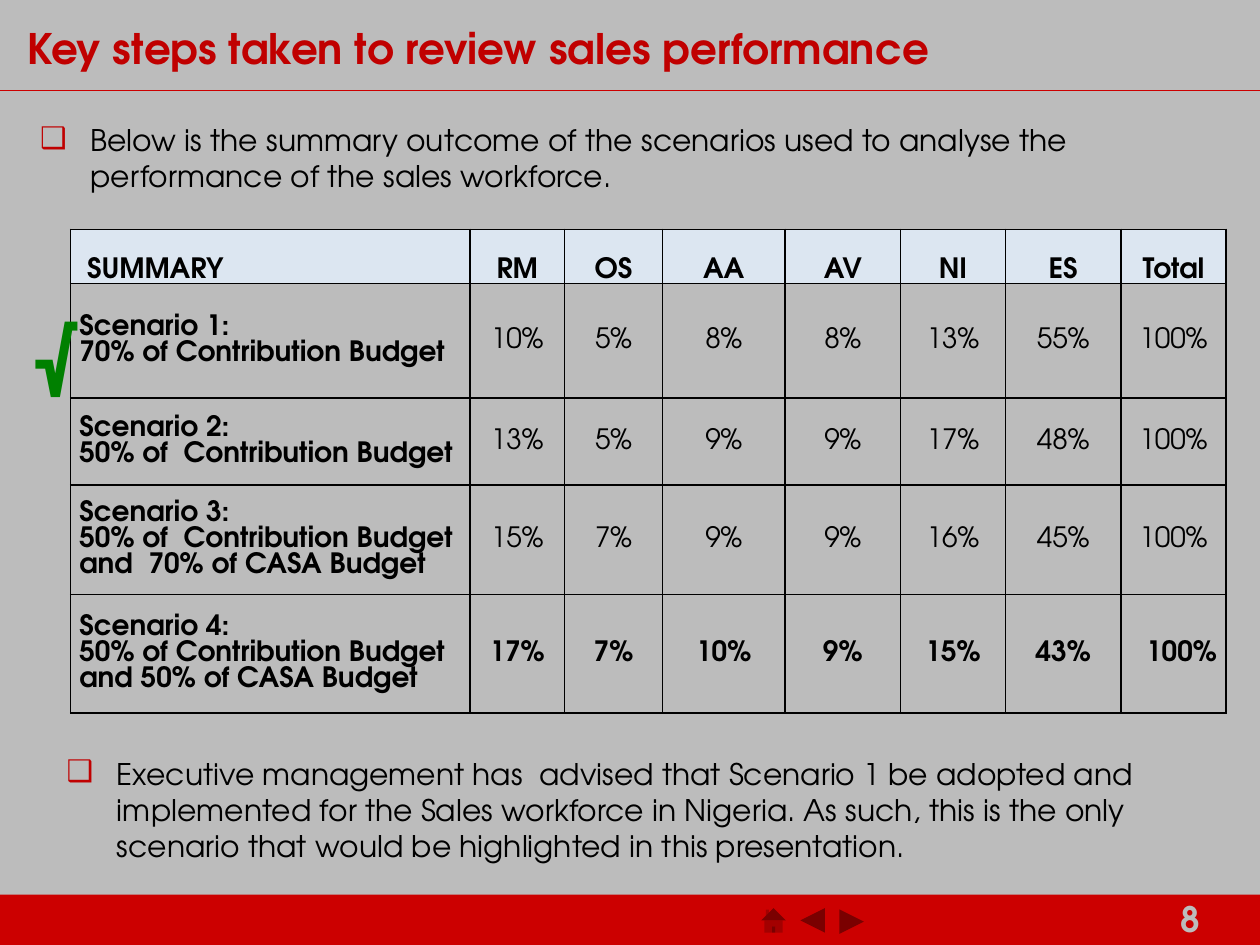
from lxml import etree
from pptx import Presentation
from pptx.dml.color import RGBColor
from pptx.enum import shapes, text
from pptx.oxml import parse_xml
from pptx.oxml.ns import nsdecls, qn
from pptx.util import Inches, Pt

FONT = "TeX Gyre Adventor"
GREY = RGBColor(0xBC, 0xBC, 0xBC)
RED = RGBColor(0xCC, 0, 0)
DARK_RED = RGBColor(0xC0, 0, 0)
BLACK = RGBColor(0, 0, 0)
GREEN = RGBColor(0, 0x80, 0)
PALE_BLUE = RGBColor(0xDC, 0xE6, 0xF1)
LEFT, CENTER, RIGHT = text.PP_ALIGN.LEFT, text.PP_ALIGN.CENTER, text.PP_ALIGN.RIGHT
TOP, MIDDLE, BOTTOM = text.MSO_ANCHOR.TOP, text.MSO_ANCHOR.MIDDLE, text.MSO_ANCHOR.BOTTOM


def write(tf, content, size=17, color=BLACK, bold=False, align=LEFT, spacing=None, bullet=False):
    for i, line in enumerate(content.split("\n")):
        p = tf.add_paragraph() if i else tf.paragraphs[0]
        if bullet:
            pPr = p._p.get_or_add_pPr()
            pPr.set("marL", str(Inches(0.4)))
            pPr.set("indent", str(Inches(-0.4)))
            pPr.append(parse_xml(f'<a:buClr {nsdecls("a")}><a:srgbClr val="{DARK_RED}"/></a:buClr>'))
            pPr.append(parse_xml(f'<a:buFont {nsdecls("a")} typeface="{FONT}"/>'))
            pPr.append(parse_xml(f'<a:buChar {nsdecls("a")} char="❑"/>'))
        p.alignment = align
        if spacing:
            p.line_spacing = spacing
        r = p.add_run()
        r.text = line
        r.font.name = FONT
        r.font.size = Pt(size)
        r.font.bold = bold
        r.font.color.rgb = color


prs = Presentation()
prs.slide_width, prs.slide_height = Inches(10), Inches(7.5)
s = prs.slides.add_slide(prs.slide_layouts[6])
s.background.fill.solid()
s.background.fill.fore_color.rgb = GREY

SHAPE = shapes.MSO_SHAPE
for kind, x, y, w, h in [
    (SHAPE.RECTANGLE, 0, 7.1, 10, 0.4),
    (SHAPE.ACTION_BUTTON_BACK_OR_PREVIOUS, 6.63, 7.15, 0.26, 0.33),
    (SHAPE.ACTION_BUTTON_FORWARD_OR_NEXT, 6.32, 7.14, 0.26, 0.33),
    (SHAPE.ACTION_BUTTON_CUSTOM, 6.96, 7.15, 0.26, 0.33),
    (SHAPE.ACTION_BUTTON_HOME, 6.01, 7.14, 0.26, 0.33),
]:
    sp = s.shapes.add_shape(kind, Inches(x), Inches(y), Inches(w), Inches(h))
    sp.shadow.inherit = False
    sp.fill.solid()
    sp.fill.fore_color.rgb = RED
    sp.line.fill.background()
    if kind != SHAPE.RECTANGLE:
        sp._element.spPr.find(qn("a:xfrm")).set("flipH", "1")

rule = s.shapes.add_connector(shapes.MSO_CONNECTOR.STRAIGHT, 0, Inches(0.72), Inches(10), Inches(0.72))
rule.line.color.rgb = RED
rule.line.width = Pt(0.75)
etree.SubElement(rule._element.spPr, qn("a:effectLst"))

COLS = [3.17, 0.75, 0.78, 0.97, 0.92, 0.83, 0.92, 0.83]
ROWS = [0.43, 0.91, 0.69, 0.87, 0.94]
DATA = [
    ["\N{NO-BREAK SPACE}SUMMARY", "RM", "OS", "AA", "AV", "NI", "ES", "Total"],
    ["Scenario 1:\n70% of Contribution Budget", "10%", "5%", "8%", "8%", "13%", "55%", "100%"],
    ["Scenario 2:\n50% of  Contribution Budget", "13%", "5%", "9%", "9%", "17%", "48%", "100%"],
    ["Scenario 3:\n50% of  Contribution Budget and  70% of CASA Budget",
     "15%", "7%", "9%", "9%", "16%", "45%", "100%"],
    ["Scenario 4:\n50% of Contribution Budget and 50% of CASA Budget",
     "17%", "7%", "10%", "9%", "15%", "43%", "100%"],
]
last_row, last_col = len(ROWS) - 1, len(COLS) - 1
table = s.shapes.add_table(len(ROWS), len(COLS), Inches(0.56), Inches(1.82),
                           Inches(sum(COLS)), Inches(sum(ROWS))).table
for col, w in zip(table.columns, COLS):
    col.width = Inches(w)
for row, h in zip(table.rows, ROWS):
    row.height = Inches(h)
for i, values in enumerate(DATA):
    for j, value in enumerate(values):
        cell = table.cell(i, j)
        cell.margin_left = cell.margin_right = Inches(0.07)
        cell.margin_top = cell.margin_bottom = 0
        cell.vertical_anchor = MIDDLE if i else BOTTOM
        align = CENTER if j else LEFT
        if (i, j) == (last_row, last_col):
            align = RIGHT
        write(cell.text_frame, value, size=16, bold=j == 0 or i in (0, last_row), align=align)
        tcPr = cell._tc.get_or_add_tcPr()
        for side in ("lnL", "lnR", "lnT", "lnB"):
            tcPr.append(parse_xml(
                f'<a:{side} {nsdecls("a")} w="{Pt(1)}"><a:solidFill>'
                f'<a:srgbClr val="{BLACK}"/></a:solidFill></a:{side}>'))
        if i:
            cell.fill.background()
        else:
            cell.fill.solid()
            cell.fill.fore_color.rgb = PALE_BLUE

INTRO = ("Below is the summary outcome of the scenarios used to analyse the "
         "performance of the sales workforce.")
DECISION = ("Executive management has  advised that Scenario 1 be adopted and implemented "
            "for the Sales workforce in Nigeria. As such, this is the only scenario that "
            "would be highlighted in this presentation.")
for x, y, w, h, anchor, wrap, content, style in [
    (0.12, 0.14, 8.05, 0.54, MIDDLE, True, "Key steps taken to review sales performance",
     dict(size=24, color=DARK_RED, bold=True, spacing=0.85)),
    (0.22, 0.92, 9.1, 0.67, TOP, True, INTRO, dict(bullet=True)),
    (0.43, 5.95, 9.06, 0.96, TOP, True, DECISION, dict(bullet=True)),
    (0.12, 2.45, 0.51, 0.77, TOP, False, "√", dict(size=40, color=GREEN, bold=True)),
    (9.27, 7.07, 0.73, 0.43, TOP, True, "8", dict(size=20, color=GREY, bold=True)),
]:
    tf = s.shapes.add_textbox(Inches(x), Inches(y), Inches(w), Inches(h)).text_frame
    tf.word_wrap = wrap
    tf.vertical_anchor = anchor
    write(tf, content, **style)

prs.save("out.pptx")
